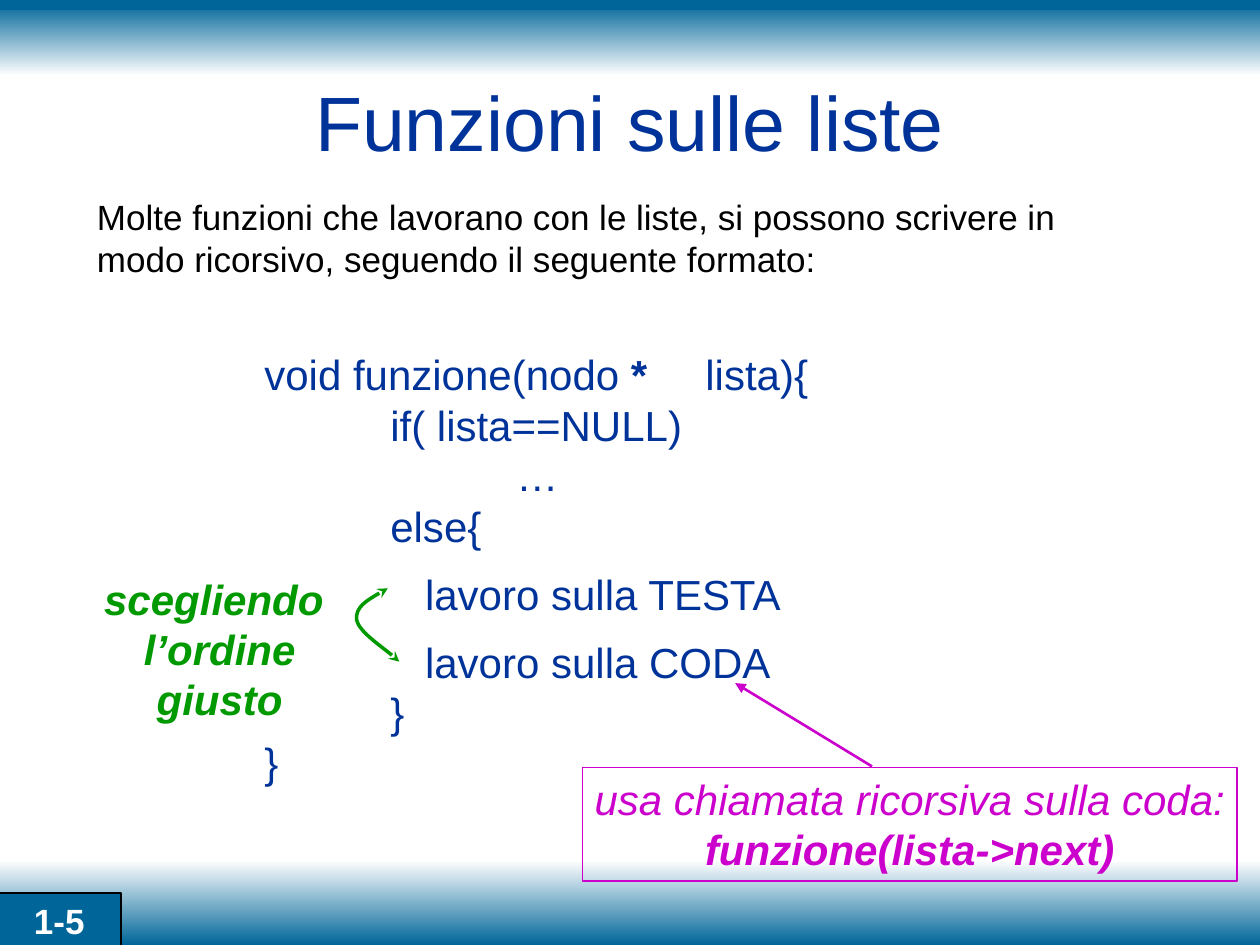
"""Build the slide on recursive list functions."""
from lxml import etree
from pptx import Presentation
from pptx.dml.color import RGBColor
from pptx.enum.shapes import MSO_CONNECTOR, MSO_SHAPE
from pptx.enum.text import MSO_ANCHOR, PP_ALIGN
from pptx.oxml.ns import qn
from pptx.util import Cm, Pt

RECTANGLE = MSO_SHAPE.RECTANGLE
STRAIGHT = MSO_CONNECTOR.STRAIGHT
LEFT, CENTER = PP_ALIGN.LEFT, PP_ALIGN.CENTER
TOP, MIDDLE = MSO_ANCHOR.TOP, MSO_ANCHOR.MIDDLE
COLORS = {"teal": "006699", "white": "FFFFFF", "pale": "FEFEFE", "black": "000000",
          "blue": "003399", "magenta": "CC00CC", "green": "009900"}
FONT = "Arial"
CODE = [
    {"content": [("void funzione(nodo ", False), ("*", True), ("\tlista){", False)], "tab": 8.41},
    {"content": "if( lista==NULL)", "indent": 2.54},
    {"content": "…", "indent": 5.08},
    {"content": "else{", "indent": 2.54},
    {"content": "lavoro sulla TESTA", "indent": 3.24, "spacing": 1.35},
    {"content": "lavoro sulla CODA", "indent": 3.24, "spacing": 1.35},
    {"content": "}", "indent": 2.54},
    {"content": "}"},
]


def color(name):
    return RGBColor.from_string(COLORS[name])


def place(shape, left, top, width, height):
    shape.left, shape.top, shape.width, shape.height = map(Cm, (left, top, width, height))


def write_text(shape, lines, size=24, fill="blue", bold=False, italic=False,
               align=LEFT, anchor=TOP, wrap=True, before=0):
    """Write lines, each a dict with content and optional indent, tab and spacing."""
    frame = shape.text_frame
    frame.word_wrap, frame.vertical_anchor = wrap, anchor
    for index, line in enumerate(lines):
        paragraph = frame.add_paragraph() if index else frame.paragraphs[0]
        paragraph.alignment = align
        paragraph.line_spacing = line.get("spacing", 1.0)
        paragraph.space_before = Pt(before)
        properties = paragraph._p.get_or_add_pPr()
        properties.set("marL", str(Cm(line.get("indent", 0))))
        properties.set("indent", "0")
        etree.SubElement(properties, qn("a:buNone"))
        if "tab" in line:
            tabs = etree.SubElement(properties, qn("a:tabLst"))
            etree.SubElement(tabs, qn("a:tab"), pos=str(Cm(line["tab"])), algn="l")
        content = line["content"]
        for text, is_bold in [(content, line.get("bold", bold))] if isinstance(content, str) else content:
            run = paragraph.add_run()
            run.text = text
            font = run.font
            font.name, font.size, font.bold, font.italic = FONT, Pt(size), is_bold, italic
            font.color.rgb = color(fill)


def add_box(slide, box, fill=None, line=None, width=1):
    shape = slide.shapes.add_shape(RECTANGLE, *map(Cm, box))
    shape.shadow.inherit = False
    if fill:
        shape.fill.solid()
        shape.fill.fore_color.rgb = color(fill)
    else:
        shape.fill.background()
    if line:
        shape.line.color.rgb = color(line)
        shape.line.width = Pt(width)
    else:
        shape.line.fill.background()
    return shape


def add_band(slide, box, start, end):
    fill = add_box(slide, box).fill
    fill.gradient()
    fill.gradient_angle = 270
    for stop, name, position in zip(fill.gradient_stops, (start, end), (0, 1)):
        stop.color.rgb = color(name)
        stop.position = position


def style_line(shape, name, width, **ends):
    """Colour a line and give it the arrowheads named by headEnd and tailEnd."""
    shape.line.color.rgb = color(name)
    shape.line.width = Pt(width)
    for end, kind in ends.items():
        etree.SubElement(shape.line._get_or_add_ln(), qn(f"a:{end}"), type=kind)


def add_line(slide, start, finish, name, width, **ends):
    connector = slide.shapes.add_connector(STRAIGHT, *map(Cm, start + finish))
    style_line(connector, name, width, **ends)
    etree.SubElement(connector._element.spPr, qn("a:effectLst"))


def add_curve(slide, points, name, width, **ends):
    """Draw cubic curves through a start point and triples of control points."""
    builder = slide.shapes.build_freeform(*map(Cm, points[0]))
    builder.add_line_segments([tuple(map(Cm, point)) for point in points[1:]], close=False)
    shape = builder.convert_to_shape()
    outline = shape._element.spPr.find(".//" + qn("a:path"))
    segments = outline.findall(qn("a:lnTo"))
    for first in range(0, len(segments), 3):
        cubic = etree.SubElement(outline, qn("a:cubicBezTo"))
        for segment in segments[first:first + 3]:
            cubic.append(segment[0])
            outline.remove(segment)
    shape.shadow.inherit = False
    shape.fill.background()
    style_line(shape, name, width, **ends)


def add_text(slide, box, lines, **style):
    write_text(slide.shapes.add_textbox(*map(Cm, box)), lines, **style)


def main():
    presentation = Presentation()
    presentation.slide_width, presentation.slide_height = Cm(25.4), Cm(19.05)
    slide = presentation.slides.add_slide(presentation.slide_layouts[1])

    add_band(slide, (0, 0.05, 25.4, 1.47), "teal", "pale")
    add_band(slide, (0, 17.35, 25.4, 1.7), "pale", "teal")
    add_line(slide, (0, 0.1), (25.4, 0.1), "teal", 6)
    number = add_box(slide, (-0.05, 18.01, 2.49, 1.12), "teal", "black")
    write_text(number, [{"content": "1-5"}], size=20, fill="white", bold=True, align=CENTER)

    title, body = slide.placeholders
    place(title, 1.9, 0.84, 21.6, 3.18)
    write_text(title, [{"content": "Funzioni sulle liste"}], size=44, align=CENTER, anchor=MIDDLE)
    place(body, 1.7, 3.81, 21.6, 13.34)
    write_text(body, [{"content": "Molte funzioni che lavorano con le liste, si possono scrivere in "
                                  "modo ricorsivo, seguendo il seguente formato:"}],
               size=20, fill="black", before=5)

    callout = add_box(slide, (11.74, 15.47, 13.2, 2.29), line="magenta", width=0.75)
    write_text(callout, [{"content": "usa chiamata ricorsiva sulla coda:"},
                         {"content": "funzione(lista->next)", "bold": True}],
               fill="magenta", italic=True, align=CENTER, wrap=False)
    add_line(slide, (17.58, 15.45), (14.82, 13.77), "magenta", 1.5, tailEnd="triangle")
    add_text(slide, (5.08, 6.91, 12.7, 9.09), CODE)
    add_curve(slide, [(7.82, 11.86), (7.49, 12.04), (7.16, 12.24), (7.19, 12.5),
                      (7.24, 12.73), (7.9, 13.18), (8.05, 13.34)],
              "green", 2, headEnd="stealth", tailEnd="stealth")
    add_text(slide, (1.27, 11.43, 6.32, 2.29),
             [{"content": "scegliendo "}, {"content": "l’ordine giusto"}],
             fill="green", bold=True, italic=True, align=CENTER, wrap=False)

    presentation.save("out.pptx")


if __name__ == "__main__":
    main()
